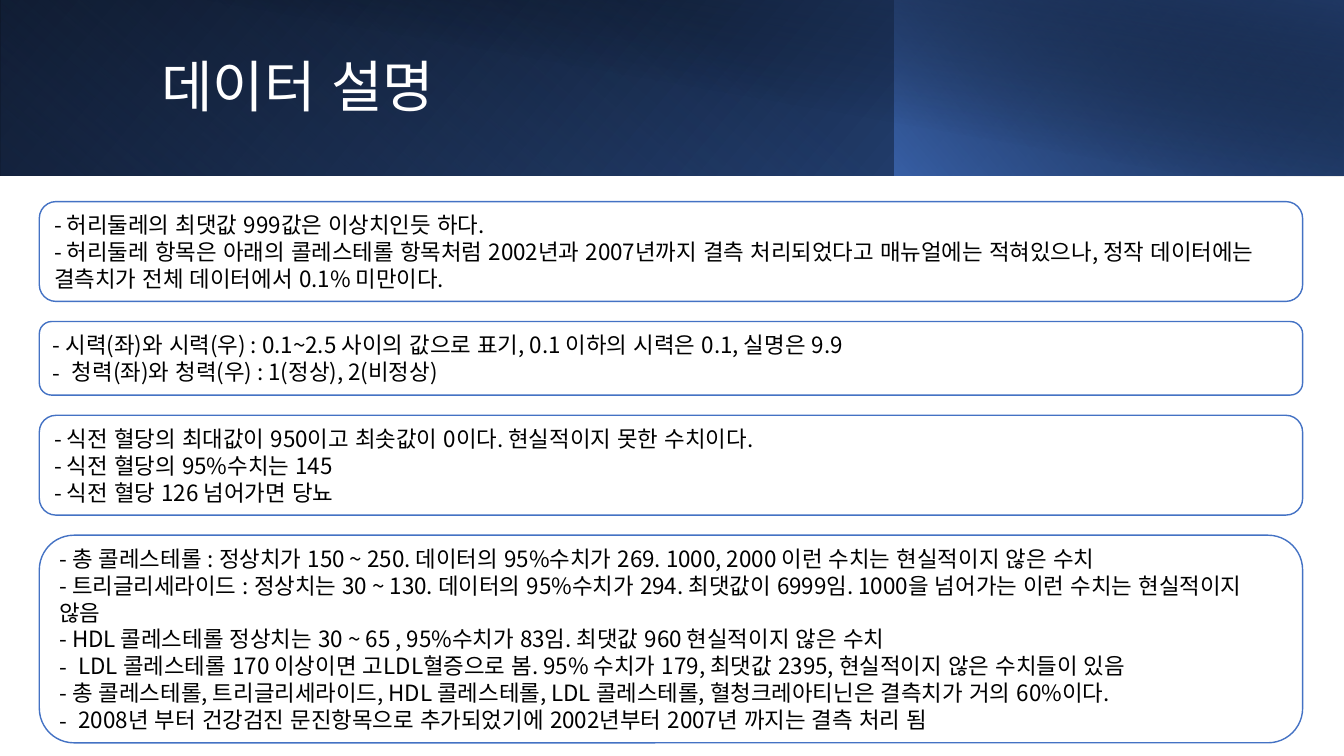
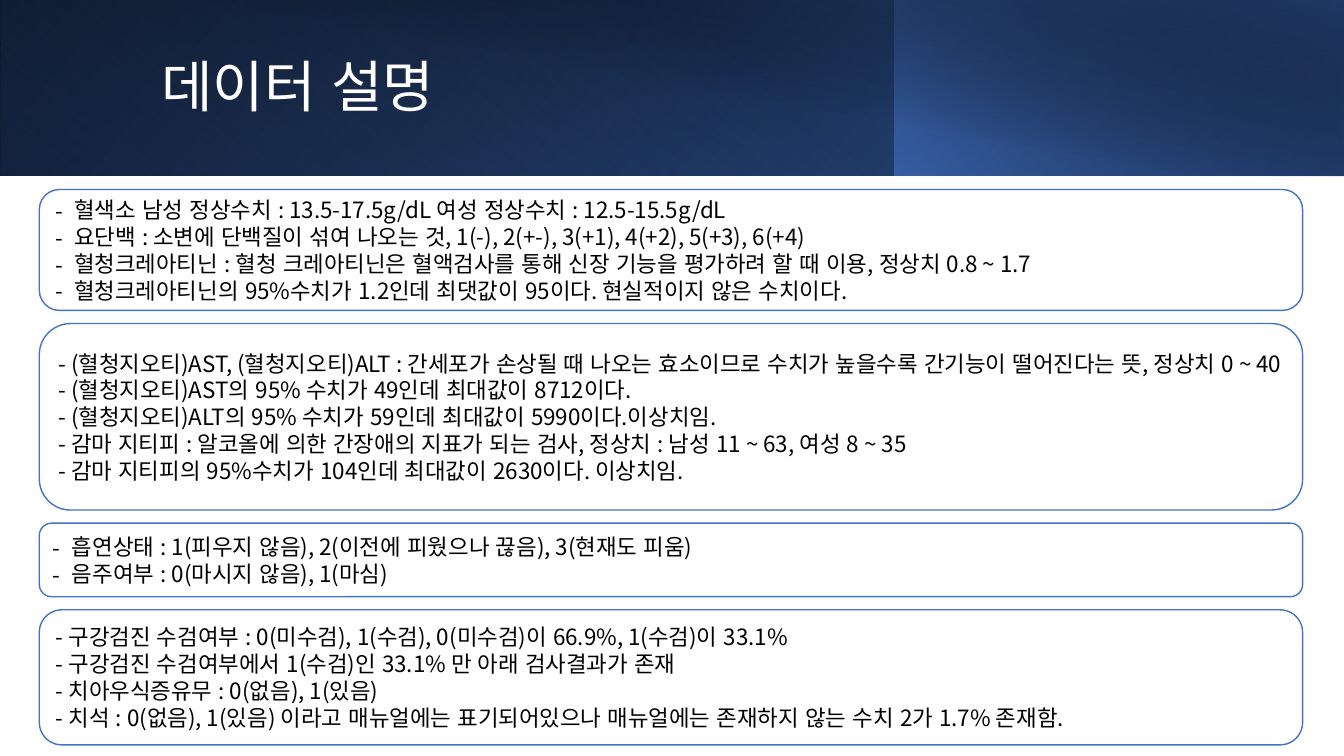
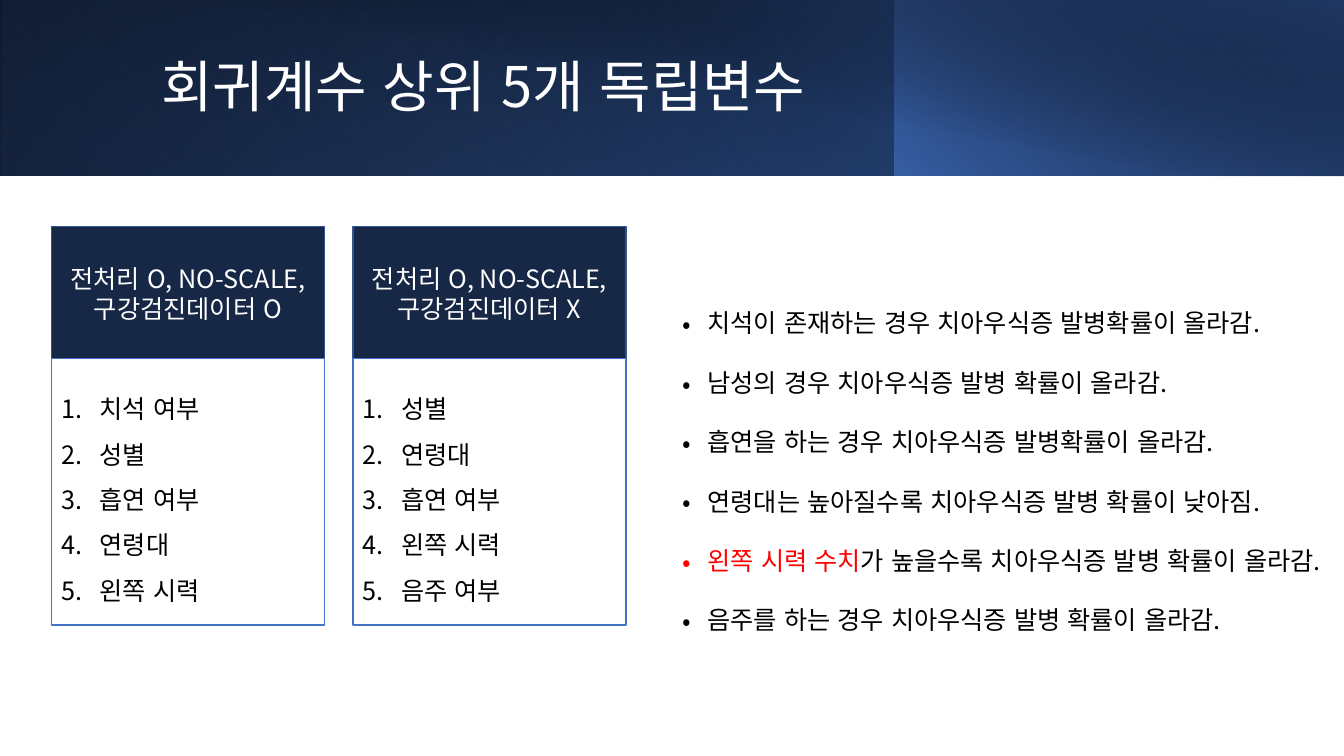
from lxml import etree
from pptx import Presentation
from pptx.dml.color import RGBColor
from pptx.enum.lang import MSO_LANGUAGE_ID
from pptx.enum.shapes import MSO_SHAPE
from pptx.enum.text import MSO_ANCHOR, PP_ALIGN
from pptx.oxml.ns import qn
from pptx.util import Inches, Pt

RECT = MSO_SHAPE.RECTANGLE
ROUNDED = MSO_SHAPE.ROUNDED_RECTANGLE
MIDDLE = MSO_ANCHOR.MIDDLE
LEFT, CENTER = PP_ALIGN.LEFT, PP_ALIGN.CENTER
KOREAN = MSO_LANGUAGE_ID.KOREAN

FONT = "Noto Sans CJK KR"
WHITE, BLACK, RED = "FFFFFF", "000000", "FF0000"
BLUE, NAVY, HEADER, HEADER_EDGE = "4472C4", "203864", "172746", "325491"

BANDS = [
    dict(at=(0, 0, 13.33, 1.74), flip=True, turn=0, angle=140,
         stops=[(0, BLACK, 100), (100, "2F5597", 100)]),
    dict(at=(0, 0, 8.88, 1.74), flip=True, turn=180, angle=230,
         stops=[(20, BLUE, 0), (100, NAVY, 55)]),
    dict(at=(8.87, 0, 4.46, 1.74), flip=True, turn=0, angle=220,
         stops=[(0, BLUE, 66), (100, BLACK, 30)]),
    dict(at=(0.5, 0, 12.83, 1.75), flip=False, turn=0, angle=280,
         stops=[(50, BLACK, 0), (99, NAVY, 52)]),
]


def rgb(value):
    return RGBColor.from_string(value)


def dash(text):
    return dict(runs=[(text, BLACK)], mark="-", indent=0.19)


def numbered(text):
    return dict(runs=[(text, BLACK)], mark="1.", indent=0.38, format=dict(line_spacing=1.5))


def point(*runs):
    return dict(runs=runs, mark="•", indent=0.25,
                format=dict(line_spacing=1.5, space_before=Pt(10)))


class Deck:
    """Holds the shared style and the slide being built."""

    def __init__(self):
        self.file = Presentation()
        self.file.slide_width, self.file.slide_height = Inches(13.33), Inches(7.5)
        self.slide = None

    def page(self, title):
        self.slide = self.file.slides.add_slide(self.file.slide_layouts[6])
        for band in BANDS:
            self.band(**band)
        heading = dict(runs=[(title, WHITE)], format=dict(line_spacing=0.9))
        self.text((1.5, 0.32, 10.82, 1.13), [heading], 40)

    def shape(self, preset, at):
        shape = self.slide.shapes.add_shape(preset, *map(Inches, at))
        shape.shadow.inherit = False
        return shape

    def band(self, at, flip, turn, angle, stops):
        band = self.shape(RECT, at)
        band.rotation = turn
        if flip:
            band._element.spPr.xfrm.set("flipH", "1")
        band.line.fill.background()
        band.fill.gradient()
        band.fill.gradient_angle = 360 - angle
        for stop, (position, color, opacity) in zip(band.fill.gradient_stops, stops):
            stop.position = position / 100
            stop.color.rgb = rgb(color)
            tint = stop._gs.find(qn("a:srgbClr"))
            etree.SubElement(tint, qn("a:alpha"), val=str(opacity * 1000))

    def box(self, preset, at, lines, size, fill=WHITE, edge=BLUE, color=BLACK, align=LEFT):
        box = self.shape(preset, at)
        box.fill.solid()
        box.fill.fore_color.rgb = rgb(fill)
        box.line.color.rgb = rgb(edge)
        box.line.width = Pt(1)
        self.paragraphs(box.text_frame, lines, size, color, align)

    def text(self, at, lines, size):
        area = self.slide.shapes.add_textbox(*map(Inches, at))
        self.paragraphs(area.text_frame, lines, size)

    def paragraphs(self, frame, lines, size, color=BLACK, align=LEFT):
        frame.word_wrap = True
        frame.vertical_anchor = MIDDLE
        for index, line in enumerate(lines):
            if isinstance(line, str):
                line = dict(runs=[(line, color)])
            paragraph = frame.add_paragraph() if index else frame.paragraphs[0]
            settings = dict(alignment=align, **line.get("format", {}))
            for name, value in settings.items():
                setattr(paragraph, name, value)
            if "mark" in line:
                self.mark(paragraph, line["mark"], line["indent"])
            for words, run_color in line["runs"]:
                self.run(paragraph, words, size, run_color)

    def mark(self, paragraph, mark, indent):
        properties = paragraph._p.get_or_add_pPr()
        properties.set("marL", str(Inches(indent)))
        properties.set("indent", str(-Inches(indent)))
        if mark == "1.":
            etree.SubElement(properties, qn("a:buAutoNum"), type="arabicPeriod")
        else:
            etree.SubElement(properties, qn("a:buFont"), typeface=FONT)
            etree.SubElement(properties, qn("a:buChar"), char=mark)

    def run(self, paragraph, words, size, color):
        run = paragraph.add_run()
        run.text = words
        settings = dict(size=Pt(size), name=FONT, language_id=KOREAN)
        for name, value in settings.items():
            setattr(run.font, name, value)
        run.font.color.rgb = rgb(color)
        etree.SubElement(run._r.get_or_add_rPr(), qn("a:ea"), typeface=FONT)

    def panels(self, top, gap, panels):
        for height, lines in panels:
            self.box(ROUNDED, (0.39, top, 12.53, height), lines, 16)
            top += height + gap

    def ranking(self, left, heading, variables):
        self.box(RECT, (left, 2.25, 2.71, 1.33), heading, 18, HEADER, HEADER_EDGE, WHITE, CENTER)
        self.box(RECT, (left, 3.56, 2.71, 2.64), [numbered(name) for name in variables], 18)


def main():
    deck = Deck()

    deck.page("데이터 설명")
    deck.panels(2, 0.2, [
        (0.99, [
            "- 허리둘레의 최댓값 999값은 이상치인듯 하다.",
            "- 허리둘레 항목은 아래의 콜레스테롤 항목처럼 2002년과 2007년까지 결측 처리되었다고 "
            "매뉴얼에는 적혀있으나, 정작 데이터에는 결측치가 전체 데이터에서 0.1% 미만이다.",
        ]),
        (0.73, [
            "- 시력(좌)와 시력(우) : 0.1~2.5 사이의 값으로 표기, 0.1 이하의 시력은 0.1, 실명은 9.9",
            dash("청력(좌)와 청력(우) : 1(정상), 2(비정상)"),
        ]),
        (0.99, [
            "- 식전 혈당의 최대값이 950이고 최솟값이 0이다. 현실적이지 못한 수치이다.",
            "- 식전 혈당의 95%수치는 145",
            "- 식전 혈당 126 넘어가면 당뇨",
        ]),
        (2.06, [
            "- 총 콜레스테롤 : 정상치가 150 ~ 250. 데이터의 95%수치가 269. 1000, 2000 이런 수치는 "
            "현실적이지 않은 수치",
            "- 트리글리세라이드 : 정상치는 30 ~ 130. 데이터의 95%수치가 294. 최댓값이 6999임. "
            "1000을 넘어가는 이런 수치는 현실적이지 않음",
            "- HDL 콜레스테롤 정상치는 30 ~ 65 , 95%수치가 83임. 최댓값 960 현실적이지 않은 수치",
            dash("LDL 콜레스테롤 170 이상이면 고LDL혈증으로 봄. 95% 수치가 179, 최댓값 2395, "
                 "현실적이지 않은 수치들이 있음"),
            "- 총 콜레스테롤, 트리글리세라이드, HDL 콜레스테롤, LDL 콜레스테롤, 혈청크레아티닌은 "
            "결측치가 거의 60%이다.",
            dash("2008년 부터 건강검진 문진항목으로 추가되었기에 2002년부터 2007년 까지는 결측 처리 됨"),
        ]),
    ])

    deck.page("데이터 설명")
    deck.panels(1.88, 0.13, [
        (1.2, [
            dash("혈색소 남성 정상수치 : 13.5-17.5g/dL 여성 정상수치 : 12.5-15.5g/dL"),
            dash("요단백 : 소변에 단백질이 섞여 나오는 것, 1(-), 2(+-), 3(+1), 4(+2), 5(+3), 6(+4)"),
            dash("혈청크레아티닌 : 혈청 크레아티닌은 혈액검사를 통해 신장 기능을 평가하려 할 때 이용, "
                 "정상치 0.8 ~ 1.7"),
            dash("혈청크레아티닌의 95%수치가 1.2인데 최댓값이 95이다. 현실적이지 않은 수치이다."),
        ]),
        (1.85, [
            "- (혈청지오티)AST, (혈청지오티)ALT : 간세포가 손상될 때 나오는 효소이므로 수치가 높을수록 "
            "간기능이 떨어진다는 뜻, 정상치 0 ~ 40",
            "- (혈청지오티)AST의 95% 수치가 49인데 최대값이 8712이다.",
            "- (혈청지오티)ALT의 95% 수치가 59인데 최대값이 5990이다.이상치임.",
            "- 감마 지티피 : 알코올에 의한 간장애의 지표가 되는 검사, 정상치 : 남성 11 ~ 63, 여성 8 ~ 35",
            "- 감마 지티피의 95%수치가 104인데 최대값이 2630이다. 이상치임.",
        ]),
        (0.73, [
            dash("흡연상태 : 1(피우지 않음), 2(이전에 피웠으나 끊음), 3(현재도 피움)"),
            dash("음주여부 : 0(마시지 않음), 1(마심)"),
        ]),
        (1.34, [
            "- 구강검진 수검여부 : 0(미수검), 1(수검), 0(미수검)이 66.9%, 1(수검)이 33.1%",
            "- 구강검진 수검여부에서 1(수검)인 33.1% 만 아래 검사결과가 존재",
            "- 치아우식증유무 : 0(없음), 1(있음)",
            "- 치석 : 0(없음), 1(있음) 이라고 매뉴얼에는 표기되어있으나 매뉴얼에는 존재하지 않는 "
            "수치 2가 1.7% 존재함.",
        ]),
    ])

    deck.page("회귀계수 상위 5개 독립변수")
    deck.text((6.67, 1.89, 6.57, 5.42), [
        point(("치석이 존재하는 경우 치아우식증 발병확률이 올라감.", BLACK)),
        point(("남성의 경우 치아우식증 발병 확률이 올라감.", BLACK)),
        point(("흡연을 하는 경우 치아우식증 발병확률이 올라감.", BLACK)),
        point(("연령대는 높아질수록 치아우식증 발병 확률이 낮아짐.", BLACK)),
        point(("왼쪽 시력 수치", RED), ("가 높을수록 치아우식증 발병 확률이 올라감.", BLACK)),
        point(("음주를 하는 경우 치아우식증 발병 확률이 올라감.", BLACK)),
    ], 18)
    deck.ranking(0.51, ["전처리 O, NO-SCALE,", "구강검진데이터 O"],
                 ["치석 여부", "성별", "흡연 여부", "연령대", "왼쪽 시력"])
    deck.ranking(3.5, ["전처리 O, NO-SCALE,", "구강검진데이터 X"],
                 ["성별", "연령대", "흡연 여부", "왼쪽 시력", "음주 여부"])

    deck.file.save("out.pptx")


if __name__ == "__main__":
    main()
